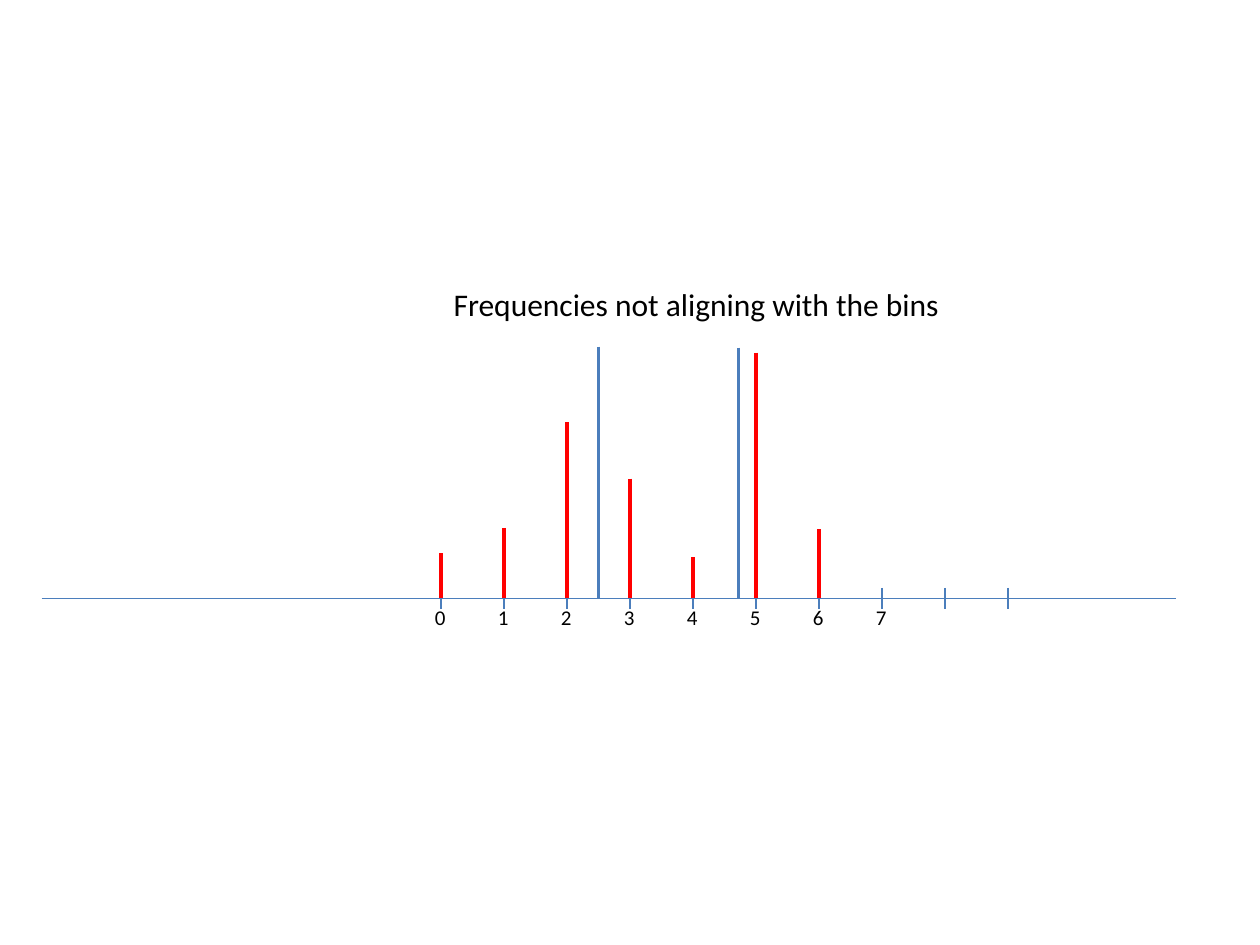
from typing import NamedTuple

from lxml.etree import SubElement
from pptx import Presentation
from pptx.dml.color import RGBColor
from pptx.enum.shapes import MSO_CONNECTOR
from pptx.enum.text import MSO_ANCHOR, MSO_AUTO_SIZE, PP_ALIGN
from pptx.oxml.ns import qn
from pptx.slide import Slide
from pptx.text.text import TextFrame
from pptx.util import Cm, Pt

BLUE = RGBColor(0x4B, 0x7E, 0xBC)
RED = RGBColor(0xFF, 0x00, 0x00)
BLACK = RGBColor(0x00, 0x00, 0x00)

# All lengths are in centimetres.
AXIS_Y = 12.06
AXIS_LEFT, AXIS_RIGHT = 0.84, 23.7
BIN_0_X, BIN_STEP = 8.89, 1.27
TICK_COUNT, TICK_HALF = 10, 0.21
LABEL_COUNT, LABEL_W, LABEL_H = 8, 0.74, 0.77


class Bar(NamedTuple):
    bin: float
    top: float
    color: RGBColor


FREQUENCIES = [Bar(2.5, 6.99, BLUE), Bar(4.72, 7.01, BLUE)]
BIN_TOPS = [11.15, 10.64, 8.51, 9.65, 11.23, 7.11, 10.67]
BIN_BARS = [Bar(i, top, RED) for i, top in enumerate(BIN_TOPS)]


def bin_x(n: float) -> float:
    return BIN_0_X + n * BIN_STEP


def add_line(s: Slide, x1: float, y1: float, x2: float, y2: float,
             color: RGBColor, width: float) -> None:
    line = s.shapes.add_connector(MSO_CONNECTOR.STRAIGHT, Cm(x1), Cm(y1), Cm(x2), Cm(y2))
    line.line.color.rgb = color
    line.line.width = Pt(width)
    SubElement(line._element.spPr, qn("a:effectLst"))


def add_bar(s: Slide, bar: Bar) -> None:
    x = bin_x(bar.bin)
    add_line(s, x, bar.top, x, AXIS_Y, bar.color, 2)


def set_text(tf: TextFrame, text: str, size: float) -> None:
    tf.text = text
    tf.word_wrap = False
    tf.auto_size = MSO_AUTO_SIZE.SHAPE_TO_FIT_TEXT
    tf.vertical_anchor = MSO_ANCHOR.TOP
    p = tf.paragraphs[0]
    p.alignment = PP_ALIGN.LEFT
    font = p.runs[0].font
    font.name = "Calibri"
    font.size = Pt(size)
    font.color.rgb = BLACK


def add_bin_label(s: Slide, n: int) -> None:
    left = bin_x(n) - LABEL_W / 2
    box = s.shapes.add_textbox(Cm(left), Cm(AXIS_Y), Cm(LABEL_W), Cm(LABEL_H))
    set_text(box.text_frame, str(n), 12)


def main() -> None:
    prs = Presentation()
    prs.slide_width, prs.slide_height = Cm(25.4), Cm(19.05)
    s = prs.slides.add_slide(prs.slide_layouts[5])

    title = s.shapes.title
    title.left, title.top, title.width, title.height = Cm(8.89), Cm(5.61), Cm(10.41), Cm(1.02)
    set_text(title.text_frame, "Frequencies not aligning with the bins", 18)

    add_line(s, AXIS_LEFT, AXIS_Y, AXIS_RIGHT, AXIS_Y, BLUE, 0.75)
    for n in range(TICK_COUNT):
        add_line(s, bin_x(n), AXIS_Y - TICK_HALF, bin_x(n), AXIS_Y + TICK_HALF, BLUE, 0.75)
    for n in range(LABEL_COUNT):
        add_bin_label(s, n)
    for bar in FREQUENCIES + BIN_BARS:
        add_bar(s, bar)

    prs.save("out.pptx")


if __name__ == "__main__":
    main()
